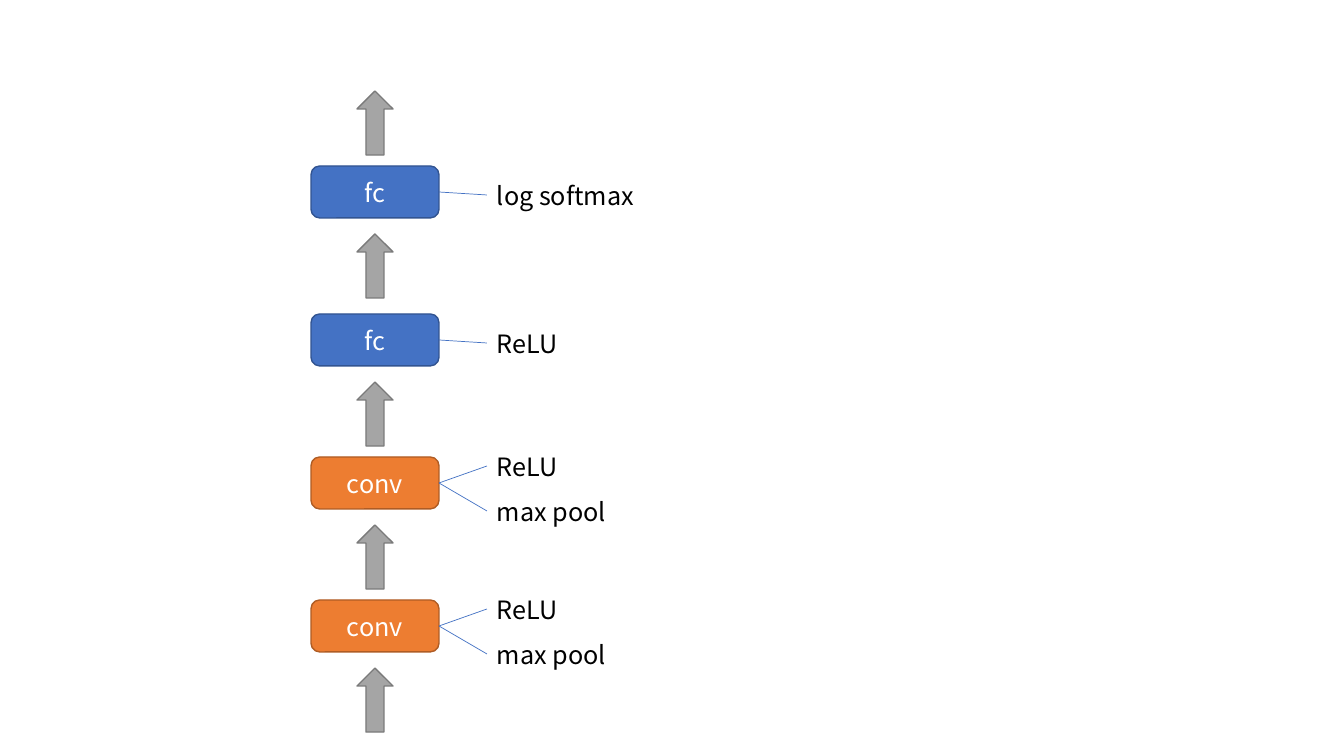
from pptx import Presentation
from pptx.dml.color import RGBColor
from pptx.enum.shapes import MSO_CONNECTOR as Connector, MSO_SHAPE as Shape
from pptx.enum.text import MSO_ANCHOR as Anchor, MSO_AUTO_SIZE as AutoSize, PP_ALIGN as Align
from pptx.util import Emu, Pt
from lxml import etree

FONT = "Noto Sans CJK SC"
ORANGE, BLUE, GRAY = ("ED7D31", "AF5C24"), ("4472C4", "325491"), ("A5A5A5", "7A7A7A")

# name, (fill, line), top in px, operations that follow the layer
LAYERS = [
    ("conv", ORANGE, 600, ["ReLU", "max pool"]),
    ("conv", ORANGE, 457, ["ReLU", "max pool"]),
    ("fc", BLUE, 314, ["ReLU"]),
    ("fc", BLUE, 166, ["log softmax"]),
]
LABEL_OFFSETS = {1: [9], 2: [-11, 34]}  # from the layer's top, by label count

LAYER_LEFT, LAYER_WIDTH, LAYER_HEIGHT = 311, 128, 52
ARROW_WIDTH, ARROW_HEIGHT = 36, 64
ARROW_LEFT = LAYER_LEFT + (LAYER_WIDTH - ARROW_WIDTH) // 2
INPUT_ARROW_OFFSET = 68
OUTPUT_ARROW_TOP = 91
LABEL_LEFT, LABEL_WIDTH, LABEL_HEIGHT = 487, 211, 40


def px(length):
    return Emu(round(length * 914400 / 100.8))


def color(hex_string):
    return RGBColor.from_string(hex_string)


def add_block(kind, left, top, width, height, colors):
    shape = slide.shapes.add_shape(kind, px(left), px(top), px(width), px(height))
    shape.shadow.inherit = False
    fill, line = colors
    shape.fill.solid()
    shape.fill.fore_color.rgb = color(fill)
    shape.line.color.rgb = color(line)
    shape.line.width = Pt(1)
    return shape


def add_arrow(top):
    add_block(Shape.UP_ARROW, ARROW_LEFT, top, ARROW_WIDTH, ARROW_HEIGHT, GRAY)


def write(shape, text, text_color, align):
    shape.text_frame.text = text
    paragraph = shape.text_frame.paragraphs[0]
    paragraph.alignment = align
    font = paragraph.runs[0].font
    font.name, font.size = FONT, Pt(18)
    font.color.rgb = color(text_color)


def add_label(text, top):
    label = slide.shapes.add_textbox(px(LABEL_LEFT), px(top), px(LABEL_WIDTH), px(LABEL_HEIGHT))
    write(label, text, "000000", Align.LEFT)
    label.text_frame.word_wrap = True
    label.text_frame.auto_size = AutoSize.SHAPE_TO_FIT_TEXT
    return label


def join(layer, label):
    line = slide.shapes.add_connector(Connector.STRAIGHT, 0, 0, 0, 0)
    line.begin_connect(layer, 3)
    line.end_connect(label, 1)
    line.line.color.rgb = color(BLUE[0])
    line.line.width = Pt(0.5)
    namespace = "http://schemas.openxmlformats.org/drawingml/2006/main"
    etree.SubElement(line._element.spPr, f"{{{namespace}}}effectLst")


presentation = Presentation()
presentation.slide_width, presentation.slide_height = px(1344), px(756)
slide = presentation.slides.add_slide(presentation.slide_layouts[6])

for name, colors, top, operations in LAYERS:
    layer = add_block(Shape.ROUNDED_RECTANGLE, LAYER_LEFT, top, LAYER_WIDTH, LAYER_HEIGHT, colors)
    write(layer, name, "FFFFFF", Align.CENTER)
    layer.text_frame.vertical_anchor = Anchor.MIDDLE
    add_arrow(top + INPUT_ARROW_OFFSET)
    for operation, offset in zip(operations, LABEL_OFFSETS[len(operations)]):
        join(layer, add_label(operation, top + offset))
add_arrow(OUTPUT_ARROW_TOP)

presentation.save("out.pptx")
